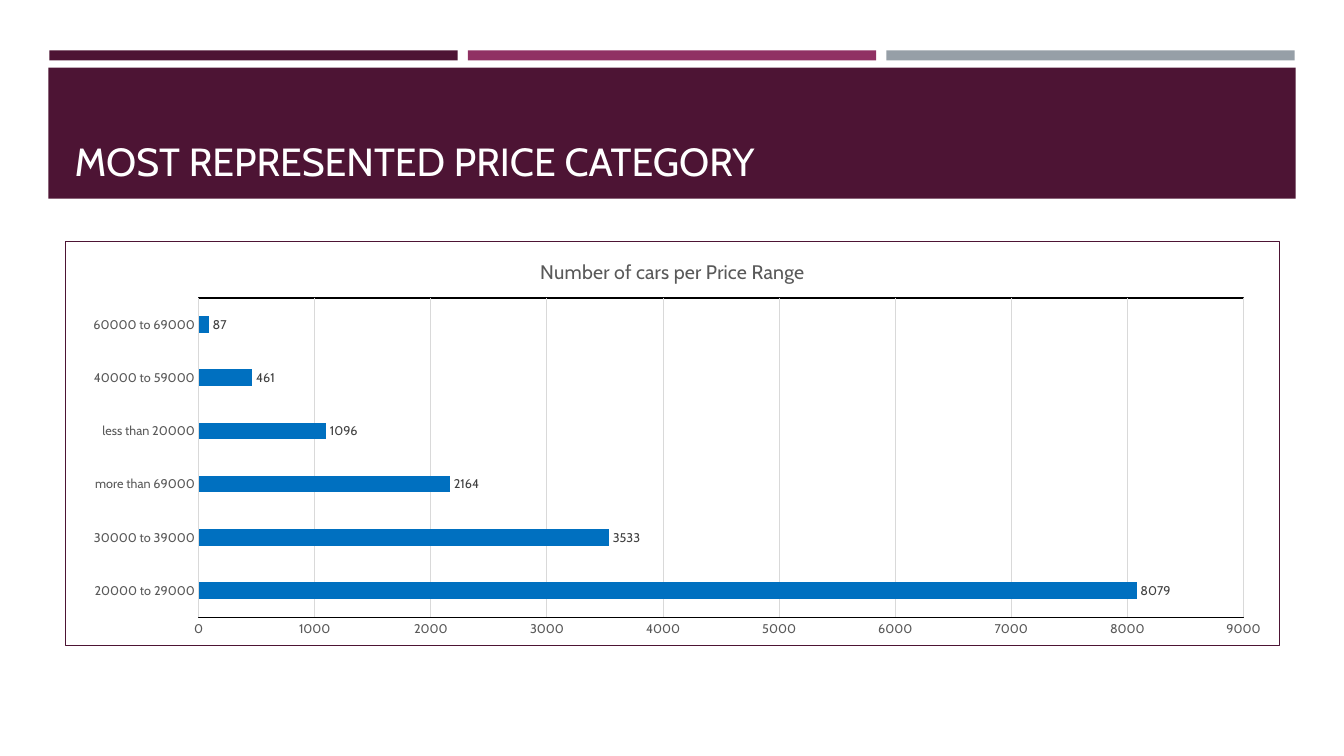
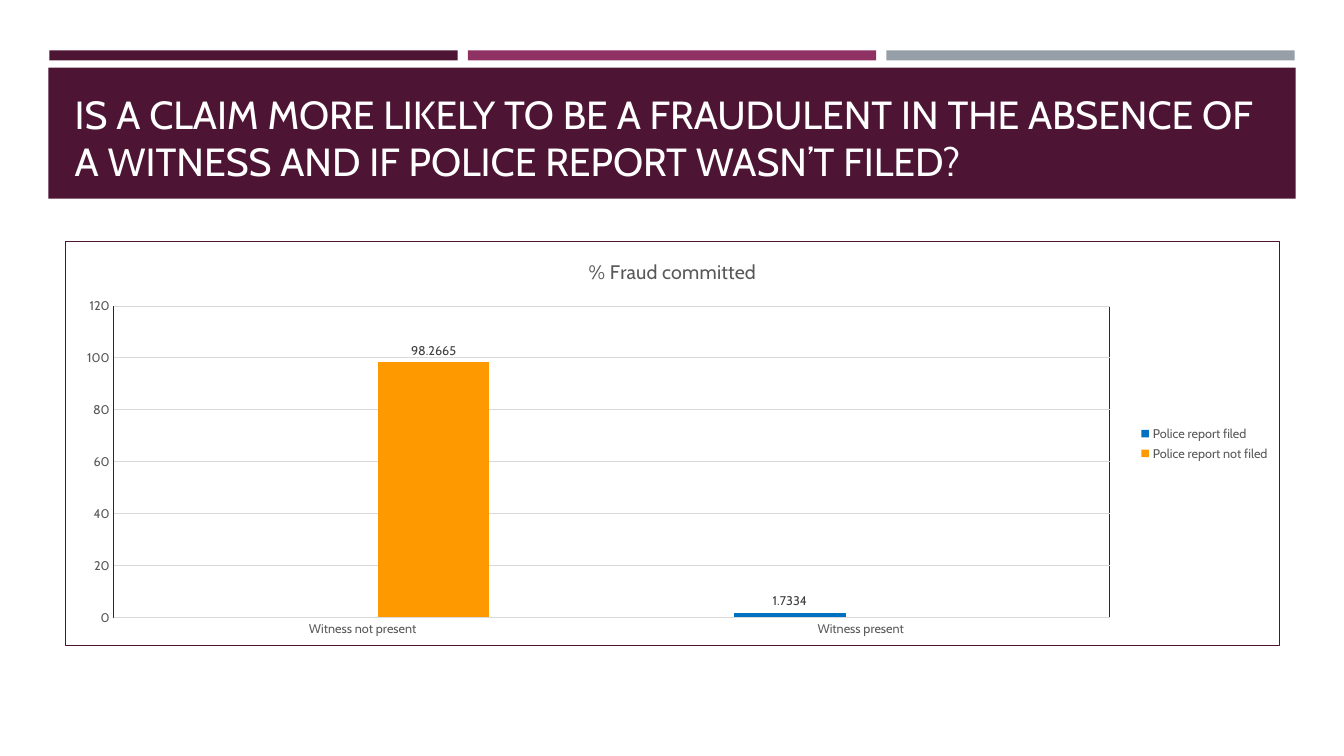
import dataclasses

import pptx
import pptx.chart.data
import pptx.dml.color
import pptx.enum.chart
import pptx.enum.shapes
import pptx.enum.text
import pptx.oxml
import pptx.oxml.ns
import pptx.util

Inches = pptx.util.Inches
Pt = pptx.util.Pt
qn = pptx.oxml.ns.qn


@dataclasses.dataclass(frozen=True)
class Theme:
    font: str = "Cabin"
    plum: str = "4D1434"
    magenta: str = "903163"
    steel: str = "969FA7"
    white: str = "FFFFFF"
    black: str = "000000"
    blue: str = "0070C0"
    orange: str = "FF9900"
    grid: str = "D9D9D9"
    axis_text: str = "595959"
    label_text: str = "404040"
    title_size: int = 28
    chart_title_size: int = 14
    chart_size: int = 10
    small_size: int = 9
    line_width: float = 0.75


@dataclasses.dataclass(frozen=True)
class Box:
    left: float
    top: float
    width: float
    height: float

    def inches(self):
        return [Inches(value) for value in dataclasses.astuple(self)]


THEME = Theme()
HEADER = Box(0.48, 0.5, 12.37, 1.47)
CHART = Box(0.64, 2.39, 12.06, 4.02)


def rgb(color):
    return pptx.dml.color.RGBColor.from_string(color)


def style_font(font, size, color):
    font.name = THEME.font
    font.size = Pt(size)
    font.bold = False
    font.color.rgb = rgb(color)


def style_line(line, color):
    line.color.rgb = rgb(color)
    line.width = Pt(THEME.line_width)


def add_band(page, box, color):
    band = page.shapes.add_shape(pptx.enum.shapes.MSO_SHAPE.RECTANGLE, *box.inches())
    band.shadow.inherit = False
    band.fill.solid()
    band.fill.fore_color.rgb = rgb(color)
    band.line.fill.background()


def add_header(page, box, text):
    # Three strips above the title band
    strip_width, pitch = 4.05, 4.15
    for index, color in enumerate((THEME.plum, THEME.magenta, THEME.steel)):
        left = box.left + 0.01 + index * pitch
        add_band(page, Box(left, box.top, strip_width, 0.1), color)
    add_band(page, Box(box.left, box.top + 0.17, box.width, box.height - 0.17), THEME.plum)

    # Title, brought in front of its band
    title = page.shapes.title
    title.element.getparent().append(title.element)
    place = Box(box.left + 0.16, box.top + 0.27, box.width - 0.31, 1.11)
    title.left, title.top, title.width, title.height = place.inches()
    frame = title.text_frame
    frame.text = text
    frame.word_wrap = True
    frame.auto_size = pptx.enum.text.MSO_AUTO_SIZE.NONE
    frame.vertical_anchor = pptx.enum.text.MSO_ANCHOR.BOTTOM
    paragraph = frame.paragraphs[0]
    paragraph.alignment = pptx.enum.text.PP_ALIGN.LEFT
    style_font(paragraph.font, THEME.title_size, THEME.white)


def border_xml(color):
    return pptx.oxml.parse_xml(
        f'<c:spPr {pptx.oxml.ns.nsdecls("c", "a")}><a:noFill/>'
        f'<a:ln w="{Pt(THEME.line_width)}"><a:solidFill><a:srgbClr val="{color}"/>'
        "</a:solidFill></a:ln></c:spPr>"
    )


def frame_chart(chart, plot_box, plot_border):
    """Outline chart and plot; plot_box holds fractions of the chart."""
    chart_part = chart.element.find(qn("c:chart"))
    chart_part.addnext(border_xml(THEME.plum))
    area = chart_part.find(qn("c:plotArea"))
    area.append(border_xml(plot_border))
    for old in area.findall(qn("c:layout")):
        area.remove(old)
    sizes = zip("xywh", dataclasses.astuple(plot_box))
    area.insert(0, pptx.oxml.parse_xml(
        f'<c:layout {pptx.oxml.ns.nsdecls("c")}><c:manualLayout>'
        '<c:layoutTarget val="inner"/><c:xMode val="edge"/><c:yMode val="edge"/>'
        + "".join(f'<c:{name} val="{value}"/>' for name, value in sizes)
        + "</c:manualLayout></c:layout>"
    ))


def style_axes(chart):
    for axis in (chart.category_axis, chart.value_axis):
        axis.major_tick_mark = pptx.enum.chart.XL_TICK_MARK.NONE
        axis.minor_tick_mark = pptx.enum.chart.XL_TICK_MARK.NONE
        style_font(axis.tick_labels.font, THEME.small_size, THEME.axis_text)
    style_line(chart.category_axis.format.line, THEME.grid)
    chart.value_axis.format.line.fill.background()
    chart.value_axis.has_major_gridlines = True
    style_line(chart.value_axis.major_gridlines.format.line, THEME.grid)


def style_series(series, color):
    series.format.fill.solid()
    series.format.fill.fore_color.rgb = rgb(color)
    series.invert_if_negative = False
    labels = series.data_labels
    labels.show_value = True
    labels.position = pptx.enum.chart.XL_LABEL_POSITION.OUTSIDE_END
    style_font(labels.font, THEME.small_size, THEME.label_text)


def add_chart(page, box, kind, title, categories, series, plot_box, plot_border,
              overlap=0, legend=False):
    """Place a bar chart; series lists (name, values, color)."""
    data = pptx.chart.data.CategoryChartData()
    data.categories = categories
    for name, values, _ in series:
        data.add_series(name, values)
    chart = page.shapes.add_chart(kind, *box.inches(), data).chart
    style_font(chart.font, THEME.chart_size, THEME.black)

    # Title and legend
    chart.has_title = True
    chart.chart_title.include_in_layout = False
    chart.chart_title.text_frame.text = title
    heading = chart.chart_title.text_frame.paragraphs[0]
    style_font(heading.font, THEME.chart_title_size, THEME.axis_text)
    chart.has_legend = legend
    if legend:
        chart.legend.position = pptx.enum.chart.XL_LEGEND_POSITION.RIGHT
        chart.legend.include_in_layout = False
        style_font(chart.legend.font, THEME.small_size, THEME.axis_text)

    # Bars, axes and outlines
    plot = chart.plots[0]
    plot.vary_by_categories = False
    plot.gap_width = 219
    plot.overlap = overlap
    for bars, (_, _, color) in zip(plot.series, series):
        style_series(bars, color)
    style_axes(chart)
    frame_chart(chart, plot_box, plot_border)


def add_page(deck, heading, **chart):
    page = deck.slides.add_slide(deck.slide_layouts[5])
    add_header(page, HEADER, heading)
    add_chart(page, CHART, **chart)


def main():
    deck = pptx.Presentation()
    deck.slide_width = Inches(13.33)
    deck.slide_height = Inches(7.5)
    chart_types = pptx.enum.chart.XL_CHART_TYPE

    # Price ranges
    add_page(
        deck,
        "MOST REPRESENTED PRICE CATEGORY",
        kind=chart_types.BAR_CLUSTERED,
        title="Number of cars per Price Range",
        categories=["20000 to 29000", "30000 to 39000", "more than 69000",
                    "less than 20000", "40000 to 59000", "60000 to 69000"],
        series=[("Series 1", [8079, 3533, 2164, 1096, 461, 87], THEME.blue)],
        plot_box=Box(0.11, 0.14, 0.86, 0.79),
        plot_border=THEME.black,
    )

    # Fraud by witness and police report
    add_page(
        deck,
        "IS A CLAIM MORE LIKELY TO BE A FRAUDULENT IN THE ABSENCE OF "
        "A WITNESS AND IF POLICE REPORT WASN’T FILED?",
        kind=chart_types.COLUMN_CLUSTERED,
        title="% Fraud committed",
        categories=["Witness not present", "Witness present"],
        series=[("Police report filed", [None, 1.7334], THEME.blue),
                ("Police report not filed", [98.2665, None], THEME.orange)],
        plot_box=Box(0.04, 0.16, 0.82, 0.77),
        plot_border=THEME.plum,
        overlap=-27,
        legend=True,
    )
    deck.save("out.pptx")


if __name__ == "__main__":
    main()
